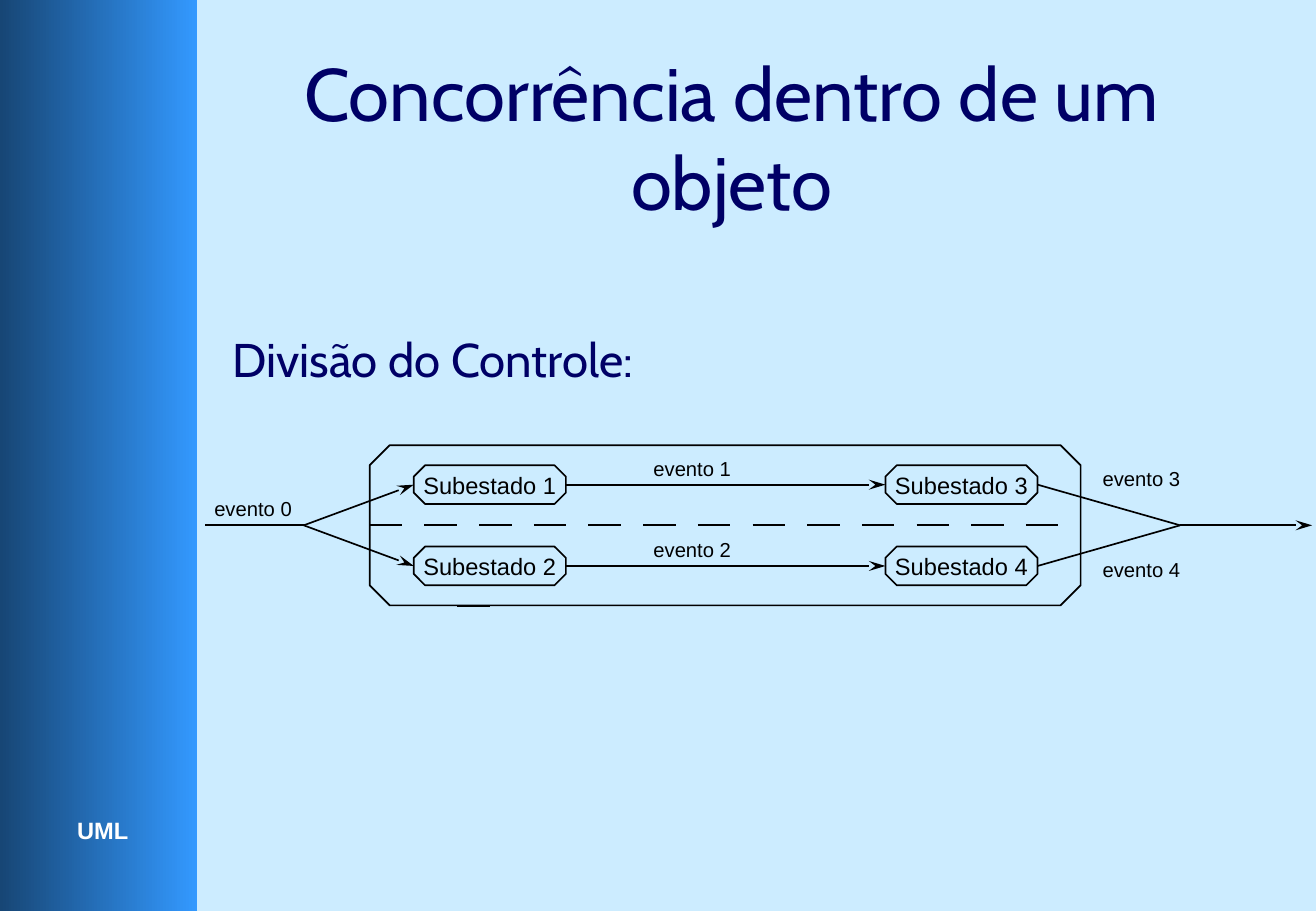
from lxml.etree import SubElement
from pptx import Presentation
from pptx.dml.color import RGBColor
from pptx.enum.shapes import MSO_CONNECTOR, MSO_SHAPE
from pptx.enum.text import MSO_ANCHOR, PP_ALIGN
from pptx.oxml.ns import qn
from pptx.util import Cm, Pt

SKY, NAVY, BLACK, WHITE = "CCECFF", "000066", "000000", "FFFFFF"
BAND_DARK, BAND_LIGHT = "174675", "3399FF"
DASH_COUNT = 13


def color(hex_string):
    """Turn a hex string into a colour."""
    return RGBColor.from_string(hex_string)


def write(shape, text, size, font_name, font_color, align=PP_ALIGN.LEFT,
          anchor=MSO_ANCHOR.TOP, bold=False, wrap=False):
    """Write one formatted run into a shape."""
    frame = shape.text_frame
    frame.word_wrap = wrap
    frame.vertical_anchor = anchor
    frame.margin_left = frame.margin_right = Cm(0.25)
    frame.margin_top = frame.margin_bottom = Cm(0.13)
    paragraph = frame.paragraphs[0]
    paragraph.alignment = align
    run = paragraph.add_run()
    run.text = text
    run.font.size = Pt(size)
    run.font.name = font_name
    run.font.bold = bold
    run.font.color.rgb = color(font_color)


def add_text(slide, box, text, size, font_name, font_color, **options):
    """Add a text box at left, top, width, height in centimetres."""
    shape = slide.shapes.add_textbox(*map(Cm, box))
    write(shape, text, size, font_name, font_color, **options)


def add_octagon(slide, box, corner):
    """Add an outlined octagon with the given corner cut."""
    shape = slide.shapes.add_shape(MSO_SHAPE.OCTAGON, *map(Cm, box))
    shape.adjustments[0] = corner
    shape.shadow.inherit = False
    shape.fill.solid()
    shape.fill.fore_color.rgb = color(SKY)
    shape.line.color.rgb = color(BLACK)
    shape.line.width = Pt(1)
    return shape


def add_line(slide, start, end, arrow=False):
    """Add a black line between two points, with an optional arrowhead."""
    connector = slide.shapes.add_connector(
        MSO_CONNECTOR.STRAIGHT, *map(Cm, (*start, *end)))
    connector.line.color.rgb = color(BLACK)
    connector.line.width = Pt(1)
    if arrow:
        SubElement(connector.line._get_or_add_ln(), qn("a:tailEnd"),
                   type="stealth", w="med", len="lg")
    SubElement(connector._element.spPr, qn("a:effectLst"))


def add_side_band(slide, box):
    """Draw the gradient band with the subject name near its foot."""
    left, top, width, height = box
    band = slide.shapes.add_shape(MSO_SHAPE.RECTANGLE, *map(Cm, box))
    band.shadow.inherit = False
    band.line.fill.background()
    band.fill.gradient()
    band.fill.gradient_angle = 0
    for stop, hex_string in zip(band.fill.gradient_stops, (BAND_DARK, BAND_LIGHT)):
        stop.color.rgb = color(hex_string)
    add_text(slide, (left + 0.9, top + height - 2.11, 2.5, 0.86), "UML", 14,
             "Arial", WHITE, align=PP_ALIGN.CENTER, bold=True)


def add_headings(slide, box):
    """Place the title and the heading of the diagram."""
    left, top, width, height = box
    add_text(slide, (left + 0.38, top, width - 0.38, 3.18),
             "Concorrência dentro de um objeto", 44, "Cabin", NAVY,
             align=PP_ALIGN.CENTER, anchor=MSO_ANCHOR.MIDDLE, wrap=True)
    add_text(slide, (left, top + height - 1.45, 9.86, 1.45),
             "Divisão do Controle:", 28, "Cabin", NAVY)


def add_state_diagram(slide, box):
    """Draw the composite state with its two concurrent regions."""
    left, top, width, height = box
    middle = top + height / 2
    frame_left, frame_width = left + 3.44, 14.86
    fork, join = (left + 2.06, middle), (left + 20.38, middle)
    state_width, state_height = 3.18, 0.81
    first_column, last_column = left + 4.36, left + 14.22

    add_octagon(slide, (frame_left, top, frame_width, height), 0.125)
    step, dash = frame_width / DASH_COUNT, 0.68
    dashes = [(frame_left + index * step, middle) for index in range(DASH_COUNT)]
    dashes.append((left + 5.27, top + height + 0.02))
    for x, y in dashes:
        add_line(slide, (x, y), (x + dash, y))

    add_line(slide, (left, middle), fork)
    add_line(slide, join, (left + width, middle), arrow=True)

    for row, offset in enumerate((-0.85, 0.85)):
        y = middle + offset
        for column, x in enumerate((first_column, last_column)):
            state = add_octagon(
                slide, (x, y - state_height / 2, state_width, state_height), 0.293)
            write(state, f"Subestado {2 * column + row + 1}", 14, "Arial", BLACK,
                  align=PP_ALIGN.CENTER, anchor=MSO_ANCHOR.MIDDLE)
        add_line(slide, fork, (first_column, y), arrow=True)
        add_line(slide, (first_column + state_width, y), (last_column, y), arrow=True)
        add_line(slide, (last_column + state_width, y), join)

    label_places = ((-0.06, 0.94), (9.12, 0.1), (9.12, 1.79),
                    (18.51, 0.32), (18.51, 2.22))
    for number, (x, y) in enumerate(label_places):
        add_text(slide, (left + x, top + y, 2.13, 0.76), f"evento {number}", 12,
                 "Arial", BLACK)


def main():
    """Build and save the slide."""
    presentation = Presentation()
    presentation.slide_width, presentation.slide_height = Cm(27.51), Cm(19.05)
    slide = presentation.slides.add_slide(presentation.slide_layouts[6])
    slide.background.fill.solid()
    slide.background.fill.fore_color.rgb = color(SKY)
    add_side_band(slide, (0, 0, 4.13, 19.05))
    add_headings(slide, (4.61, 1.27, 21, 6.96))
    add_state_diagram(slide, (4.29, 9.31, 23.14, 3.35))
    presentation.save("out.pptx")


if __name__ == "__main__":
    main()
